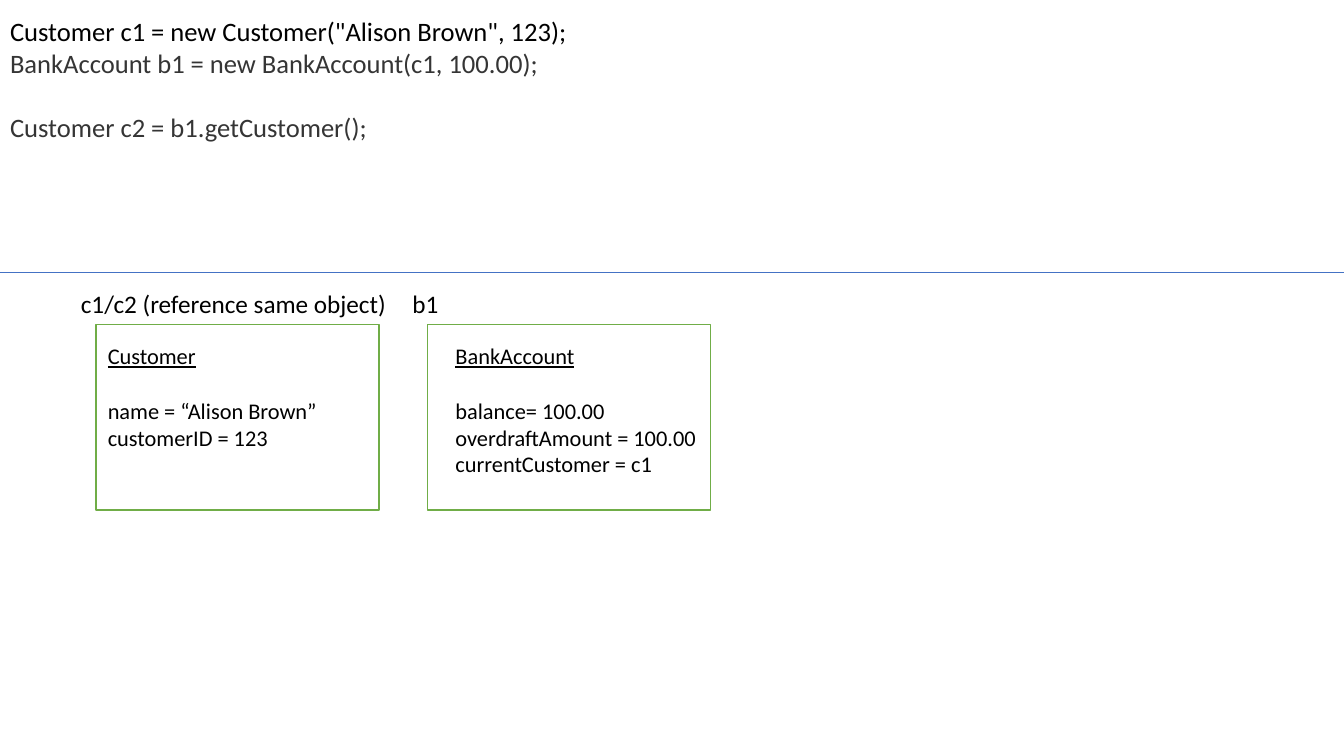
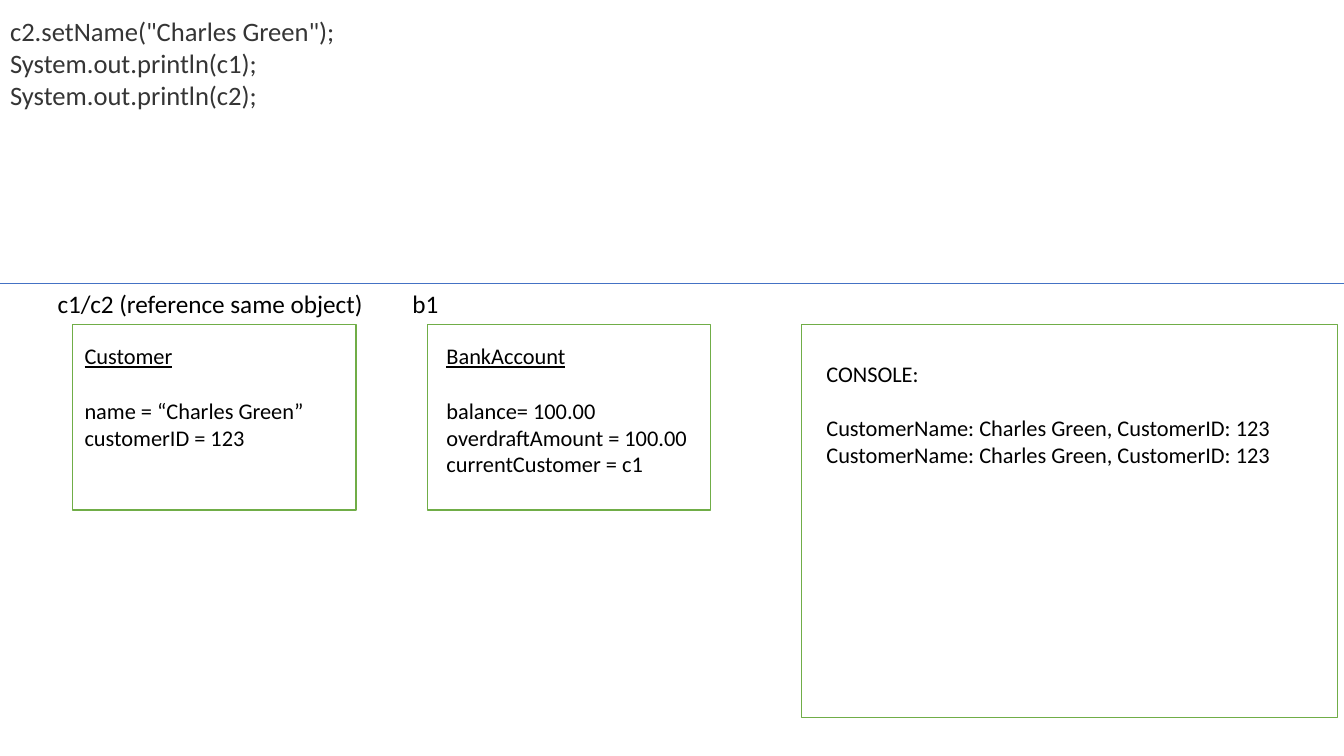
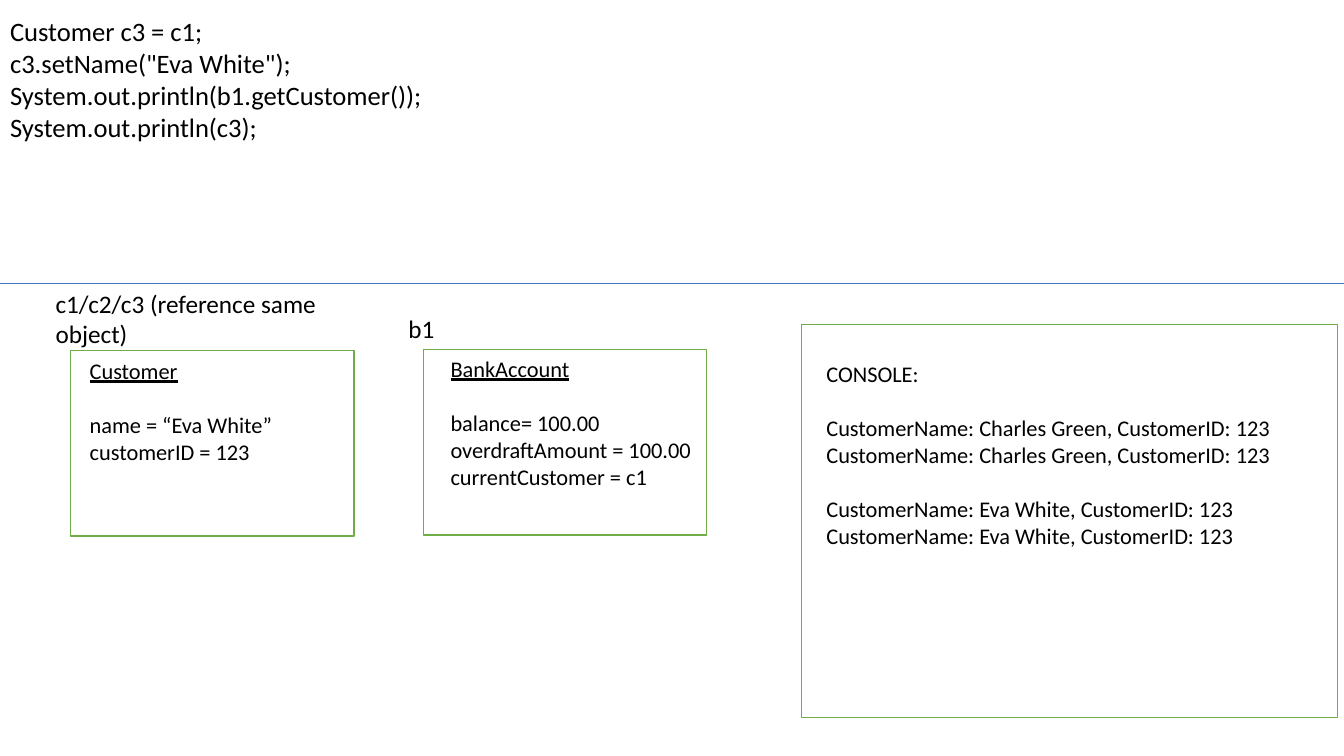
from dataclasses import dataclass

from pptx import Presentation
from pptx import util as u
from pptx.dml.color import RGBColor
from pptx.enum import shapes, text
from pptx.oxml import parse_xml
from pptx.oxml.ns import nsdecls


@dataclass(frozen=True)
class Theme:
    font: str = "Calibri"
    black: str = "000000"
    grey: str = "353535"
    paper: str = "FFFFFF"
    frame: str = "70AD47"
    rule: str = "4472C4"
    code_size: float = 19
    label_size: float = 18
    object_size: float = 16
    leading: float = 1.22
    frame_width: float = 1
    rule_width: float = 0.5


THEME = Theme()
WIDTH, HEIGHT = u.Inches(13.33), u.Inches(7.5)
CUSTOMER_SIZE, ACCOUNT_SIZE = (20.85, 35.87), (19.65, 35.87)
OBJECT_SIZE, CONSOLE_SIZE = (21.08, 24.53), (39.9, 52)
OBJECT_TOP, CONSOLE_LEFT = 42.93, 59.63
LABEL_ROWS, TWO_LINE_LABEL_ROWS = 5.47, 8.93
ACCOUNT_LINES = ["balance= 100.00", "overdraftAmount = 100.00", "currentCustomer = c1"]
GREEN_LINES = ["CustomerName: Charles Green, CustomerID: 123"] * 2
WHITE_LINES = ["CustomerName: Eva White, CustomerID: 123"] * 2


def grid(left, top, columns, rows):
    """Turn hundredths of the slide's width and height into lengths."""
    return [u.Emu(round(share * side / 100)) for share, side in
            zip((left, top, columns, rows), (WIDTH, HEIGHT) * 2)]


def apply(target, formats):
    """Set every attribute named in a dict of format values."""
    for name, value in formats.items():
        setattr(target, name, value)


def write(frame, groups, size, ink=THEME.black, lead_ink=None, lead_underline=False):
    """Write groups of lines, one line of space between groups."""
    apply(frame, {"word_wrap": True, "auto_size": text.MSO_AUTO_SIZE.NONE,
                  "vertical_anchor": text.MSO_ANCHOR.TOP})
    lines = [(line, group > 0 and place == 0)
             for group, members in enumerate(groups) for place, line in enumerate(members)]
    for index, (line, opens_group) in enumerate(lines):
        para = frame.add_paragraph() if index else frame.paragraphs[0]
        apply(para, {"alignment": text.PP_ALIGN.LEFT, "line_spacing": 1.0,
                     "space_before": u.Pt(size * THEME.leading if opens_group else 0),
                     "space_after": u.Pt(0)})
        span = para.add_run()
        span.text = line
        apply(span.font, {"name": THEME.font, "size": u.Pt(size),
                          "underline": lead_underline and index == 0})
        colour = lead_ink if lead_ink and index == 0 else ink
        span.font.color.rgb = RGBColor.from_string(colour)


def add_text(page, place, groups, size, **formats):
    """Add a wrapped text box."""
    box = page.shapes.add_textbox(*grid(*place))
    write(box.text_frame, groups, size, **formats)


def add_frame(page, place):
    """Add a white rectangle with a green outline."""
    box = page.shapes.add_shape(shapes.MSO_SHAPE.RECTANGLE, *grid(*place))
    box.shadow.inherit = False
    box.fill.solid()
    box.fill.fore_color.rgb = RGBColor.from_string(THEME.paper)
    box.line.color.rgb = RGBColor.from_string(THEME.frame)
    box.line.width = u.Pt(THEME.frame_width)


def add_object(page, label, groups, left, text_left, text_size,
               top=OBJECT_TOP, text_drop=1.73, label_rows=LABEL_ROWS, label_columns=24.68):
    """Add an object diagram with its reference label on top."""
    add_frame(page, (left, top, *OBJECT_SIZE))
    add_text(page, (text_left, top + text_drop, *text_size), groups,
             THEME.object_size, lead_underline=True)
    add_text(page, (left - 1.85, top - label_rows, label_columns, label_rows),
             [[label]], THEME.label_size)


def add_customer(page, label, name, **places):
    """Add a Customer object."""
    groups = [["Customer"], [f"name = “{name}”", "customerID = 123"]]
    add_object(page, label, groups, text_size=CUSTOMER_SIZE, **places)


def add_account(page, **places):
    """Add the BankAccount object."""
    add_object(page, "b1", [["BankAccount"], ACCOUNT_LINES],
               text_size=ACCOUNT_SIZE, label_columns=6.6, **places)


def add_console(page, *outputs):
    """Add the console panel with its groups of output lines."""
    add_frame(page, (CONSOLE_LEFT, OBJECT_TOP, *CONSOLE_SIZE))
    add_text(page, (CONSOLE_LEFT + 1.12, OBJECT_TOP + 4, 37.58, 46.27),
             [["CONSOLE:"], *outputs], THEME.object_size)


def add_page(deck, code, rule_top=37.47, **formats):
    """Add a slide with code in the body placeholder and a rule below it."""
    page = deck.slides.add_slide(deck.slide_layouts[1])
    title, body = page.placeholders
    title.element.getparent().remove(title.element)
    apply(body, dict(zip(("left", "top", "width", "height"), grid(0, 1.33, 100, 40.4))))
    write(body.text_frame, code, THEME.code_size, **formats)
    for para in body.text_frame.paragraphs:
        properties = para._p.get_or_add_pPr()
        properties.set("marL", "0")
        properties.set("indent", "0")
        properties.append(parse_xml(f"<a:buNone {nsdecls('a')}/>"))
    left, top, right, _ = grid(0, rule_top, 100, 0)
    rule = page.shapes.add_connector(shapes.MSO_CONNECTOR.STRAIGHT, left, top, right, top)
    rule.line.color.rgb = RGBColor.from_string(THEME.rule)
    rule.line.width = u.Pt(THEME.rule_width)
    rule._element.spPr.append(parse_xml(f"<a:effectLst {nsdecls('a')}/>"))
    return page


def main():
    """Build the three slides and save the deck."""
    deck = Presentation()
    apply(deck, {"slide_width": WIDTH, "slide_height": HEIGHT})

    page = add_page(deck, [['Customer c1 = new Customer("Alison Brown", 123);',
                            "BankAccount b1 = new BankAccount(c1, 100.00);"],
                           ["Customer c2 = b1.getCustomer();"]],
                    rule_top=36, ink=THEME.grey, lead_ink=THEME.black)
    add_customer(page, "c1/c2 (reference same object)", "Alison Brown",
                 left=7.13, text_left=7.28)
    add_account(page, left=31.8, text_left=33.15)

    page = add_page(deck, [['c2.setName("Charles Green");', "System.out.println(c1);",
                            "System.out.println(c2);"]], ink=THEME.grey)
    add_account(page, left=31.8, text_left=32.48)
    add_console(page, GREEN_LINES)
    add_customer(page, "c1/c2 (reference same object)", "Charles Green",
                 left=5.4, text_left=5.55)

    page = add_page(deck, [["Customer c3 = c1;", 'c3.setName("Eva White");',
                            "System.out.println(b1.getCustomer());",
                            "System.out.println(c3);"]])
    add_account(page, left=31.5, text_left=32.78, top=46.27, text_drop=0)
    add_console(page, GREEN_LINES, WHITE_LINES)
    add_customer(page, "c1/c2/c3 (reference same object)", "Eva White", left=5.25,
                 text_left=5.93, top=46.4, text_drop=0.13, label_rows=TWO_LINE_LABEL_ROWS)

    deck.save("out.pptx")


main()
